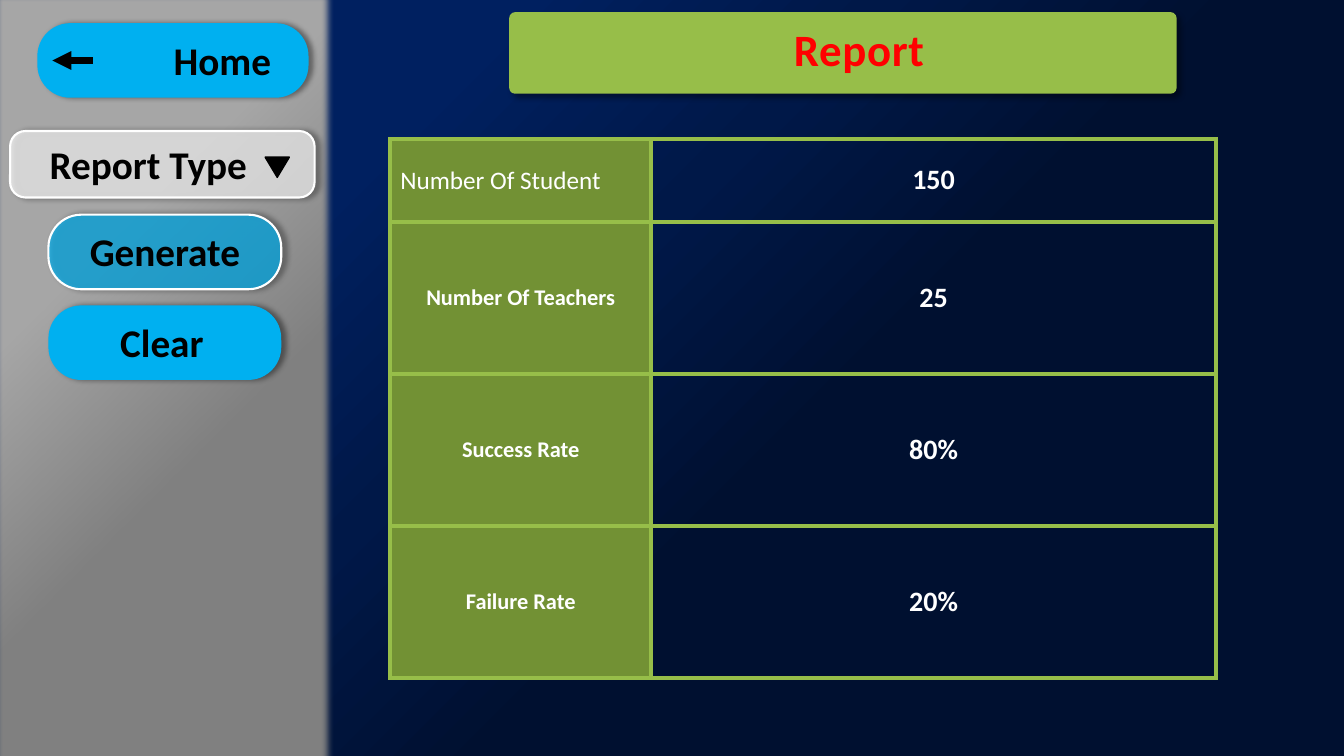
from lxml.etree import SubElement
from pptx import Presentation
from pptx.dml.color import RGBColor
from pptx.enum.shapes import MSO_CONNECTOR, MSO_SHAPE
from pptx.enum.text import MSO_ANCHOR, PP_ALIGN
from pptx.oxml.ns import qn
from pptx.util import Pt

PX = 9144
FONT = "Calibri"
COLORS = {
    "green": "97BE49", "olive": "729134", "blue": "00B0F0", "red": "FF0000",
    "black": "000000", "white": "FFFFFF",
}
BACKGROUND_STOPS = [(25, "002060"), (42, "001848"), (59, "001030")]
PANEL_STOPS = [(33, "A6A6A6"), (60, "808080")]
REPORT_ROWS = [
    ("Number Of Student", "150"),
    ("Number Of Teachers", "25"),
    ("Success Rate", "80%"),
    ("Failure Rate", "20%"),
]


def color(name):
    """Return the named palette colour."""
    return RGBColor.from_string(COLORS[name])


def add_child(parent, tag, **attributes):
    """Append a drawing element with the given attributes."""
    return SubElement(parent, qn(tag), {key: str(value) for key, value in attributes.items()})


def set_gradient(fill, element, stops):
    """Give a fill a diagonal gradient running from top left to bottom right."""
    fill.gradient()
    fill.gradient_angle = 315
    stop_list = element.find(".//" + qn("a:gsLst"))
    stop_list.clear()
    for position, value in stops:
        stop = add_child(stop_list, "a:gs", pos=position * 1000)
        add_child(stop, "a:srgbClr", val=value)


def add_effect(shape, tag, **attributes):
    """Add one effect to a shape and return it."""
    shape.shadow.inherit = False
    effects = shape.element.spPr.find(qn("a:effectLst"))
    return add_child(effects, tag, **attributes)


def add_rounded(shapes, box, radius):
    """Add a rounded rectangle without an outline."""
    shape = shapes.add_shape(MSO_SHAPE.ROUNDED_RECTANGLE, *(PX * length for length in box))
    shape.adjustments[0] = radius
    shape.line.fill.background()
    return shape


def add_plate(shapes, box, radius, fill, glass=False, shadow_angle=0):
    """Add a shadowed plate, translucent with a white outline if glass."""
    plate = add_rounded(shapes, box, radius)
    plate.fill.solid()
    plate.fill.fore_color.rgb = color(fill)
    if glass:
        fill_color = plate.element.spPr.find(qn("a:solidFill"))[0]
        add_child(fill_color, "a:alpha", val=69000)
        plate.line.color.rgb = color("white")
        plate.line.width = Pt(1.5)
    shadow = add_effect(plate, "a:outerShdw", blurRad=Pt(4), dist=Pt(3),
                        dir=shadow_angle * 60000, algn="tl", rotWithShape=0)
    shadow_color = add_child(shadow, "a:srgbClr", val=COLORS["black"])
    add_child(shadow_color, "a:alpha", val=40000)


def write(paragraph, text, size, text_color, bold=True, align=PP_ALIGN.CENTER):
    """Add one styled run to a paragraph."""
    paragraph.alignment = align
    run = paragraph.add_run()
    run.text = text
    run.font.name = FONT
    run.font.size = Pt(size)
    run.font.bold = bold
    run.font.color.rgb = color(text_color)
    return run


def add_label(shapes, box, text, size=28, text_color="black"):
    """Add a centred bold label."""
    label = shapes.add_textbox(*(PX * length for length in box))
    label.text_frame.word_wrap = True
    return write(label.text_frame.paragraphs[0], text, size, text_color)


def add_panel(slide, box):
    """Add the soft-edged grey side panel."""
    panel = add_rounded(slide.shapes, box, 0)
    set_gradient(panel.fill, panel.element, PANEL_STOPS)
    add_effect(panel, "a:softEdge", rad=Pt(5))


def add_title(slide, box):
    """Add the title banner."""
    left, top, width, height = box
    shapes = slide.shapes.add_group_shape().shapes
    add_plate(shapes, box, 0.073, "green", shadow_angle=45)
    run = add_label(shapes, (left + 241, top + 5, 212, 64), "Report", 32, "red")
    run.font._element.set("spc", "50")


def add_button(slide, box, text, label_shift=0, radius=0.441, fill="blue", glass=False):
    """Add a labelled button and return the shapes of its group."""
    left, top, width, height = box
    shapes = slide.shapes.add_group_shape().shapes
    add_plate(shapes, box, radius, fill, glass)
    label_box = (left + label_shift, top + (height - 57) // 2, width, 57)
    add_label(shapes, label_box, text)
    return shapes


def add_home_button(slide, box):
    """Add the home button with its back arrow."""
    left, top, width, height = box
    shapes = add_button(slide, box, "Home", label_shift=49)
    middle = PX * (top + height // 2)
    arrow = shapes.add_connector(
        MSO_CONNECTOR.STRAIGHT, PX * (left + 55), middle, PX * (left + 15), middle)
    arrow.line.color.rgb = color("black")
    arrow.line.width = Pt(4.5)
    add_child(arrow.line._get_or_add_ln(), "a:tailEnd", type="triangle")
    add_child(arrow.element.spPr, "a:effectLst")


def add_type_selector(slide, box):
    """Add the report type selector with its drop-down marker."""
    left, top, width, height = box
    shapes = add_button(slide, box, "Report Type", -14, 0.232, "white", glass=True)
    marker = shapes.add_shape(
        MSO_SHAPE.FLOWCHART_MERGE, PX * (left + 253), PX * (top + 26), PX * 24, PX * 20)
    marker.fill.solid()
    marker.fill.fore_color.rgb = color("black")
    marker.line.color.rgb = color("black")
    marker.line.width = Pt(1)
    marker.shadow.inherit = False


def style_cell(cell, fill=None):
    """Give a cell green borders, middle anchoring and an optional fill."""
    properties = cell._tc.get_or_add_tcPr()
    for side in ("a:lnL", "a:lnR", "a:lnT", "a:lnB"):
        border = add_child(properties, side, w=Pt(3))
        add_child(add_child(border, "a:solidFill"), "a:srgbClr", val=COLORS["green"])
    cell.vertical_anchor = MSO_ANCHOR.MIDDLE
    if fill:
        cell.fill.solid()
        cell.fill.fore_color.rgb = color(fill)
    else:
        cell.fill.background()


def add_report_table(slide, box):
    """Add the report table with a short first row and equal rows below."""
    left, top, width, height = box
    first_height, name_width = 82, 259
    row_height = (height - first_height) // (len(REPORT_ROWS) - 1)
    table = slide.shapes.add_table(
        len(REPORT_ROWS), 2, *(PX * length for length in box)).table
    table.first_row = table.horz_banding = False
    table.columns[0].width = PX * name_width
    table.columns[1].width = PX * (width - name_width)
    for index, (name, value) in enumerate(REPORT_ROWS):
        first = index == 0
        table.rows[index].height = PX * (first_height if first else row_height)
        name_cell, value_cell = table.cell(index, 0), table.cell(index, 1)
        style_cell(name_cell, "olive")
        style_cell(value_cell)
        write(name_cell.text_frame.paragraphs[0], name, 18 if first else 16, "white",
              bold=not first, align=PP_ALIGN.LEFT if first else PP_ALIGN.CENTER)
        write(value_cell.text_frame.paragraphs[0], value, 20, "white")


def main():
    """Build the report slide and save it."""
    presentation = Presentation()
    presentation.slide_width, presentation.slide_height = PX * 1333, PX * 750
    slide = presentation.slides.add_slide(presentation.slide_layouts[6])
    set_gradient(slide.background.fill, slide.element, BACKGROUND_STOPS)
    add_panel(slide, (-9, -10, 340, 775))
    add_title(slide, (505, 12, 662, 81))
    add_report_table(slide, (387, 138, 819, 535))
    add_home_button(slide, (37, 23, 269, 74))
    add_type_selector(slide, (10, 130, 302, 66))
    add_button(slide, (48, 213, 231, 74), "Generate", glass=True)
    add_button(slide, (48, 303, 231, 74), "Clear", label_shift=-3)
    presentation.save("out.pptx")


if __name__ == "__main__":
    main()
